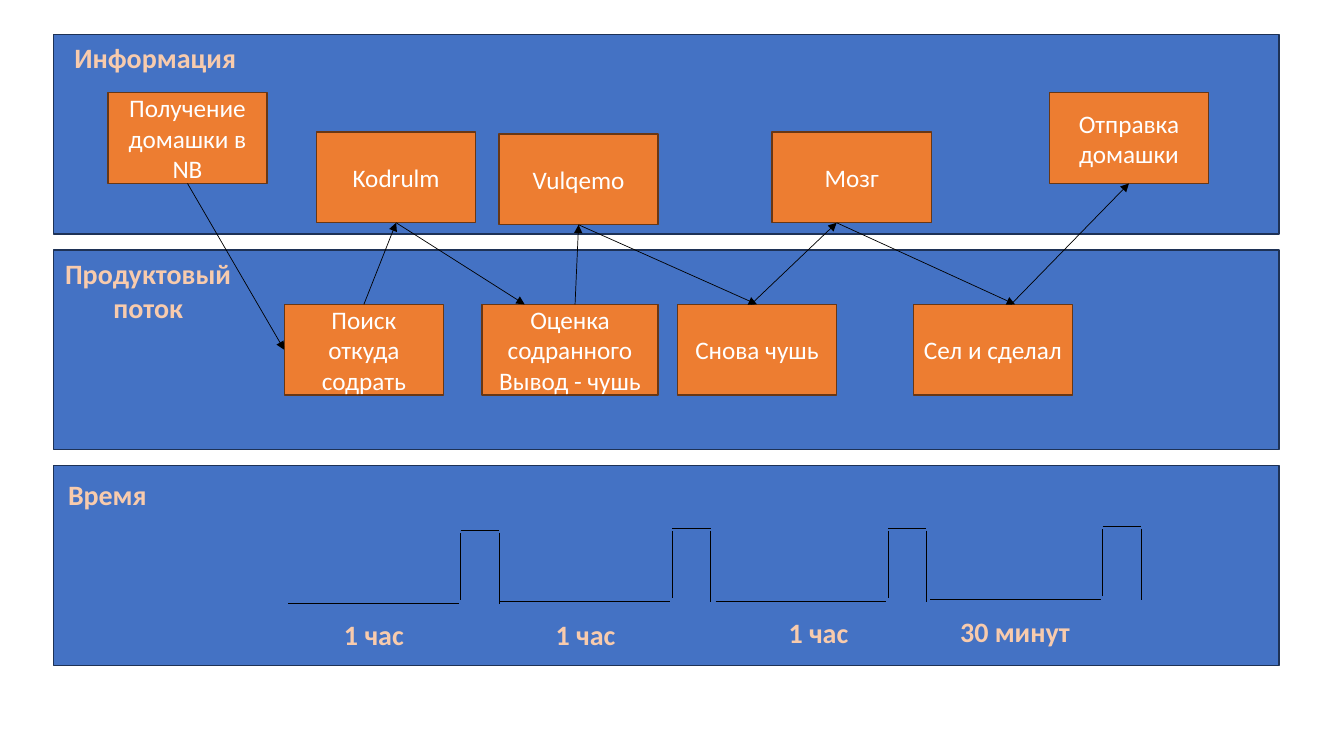
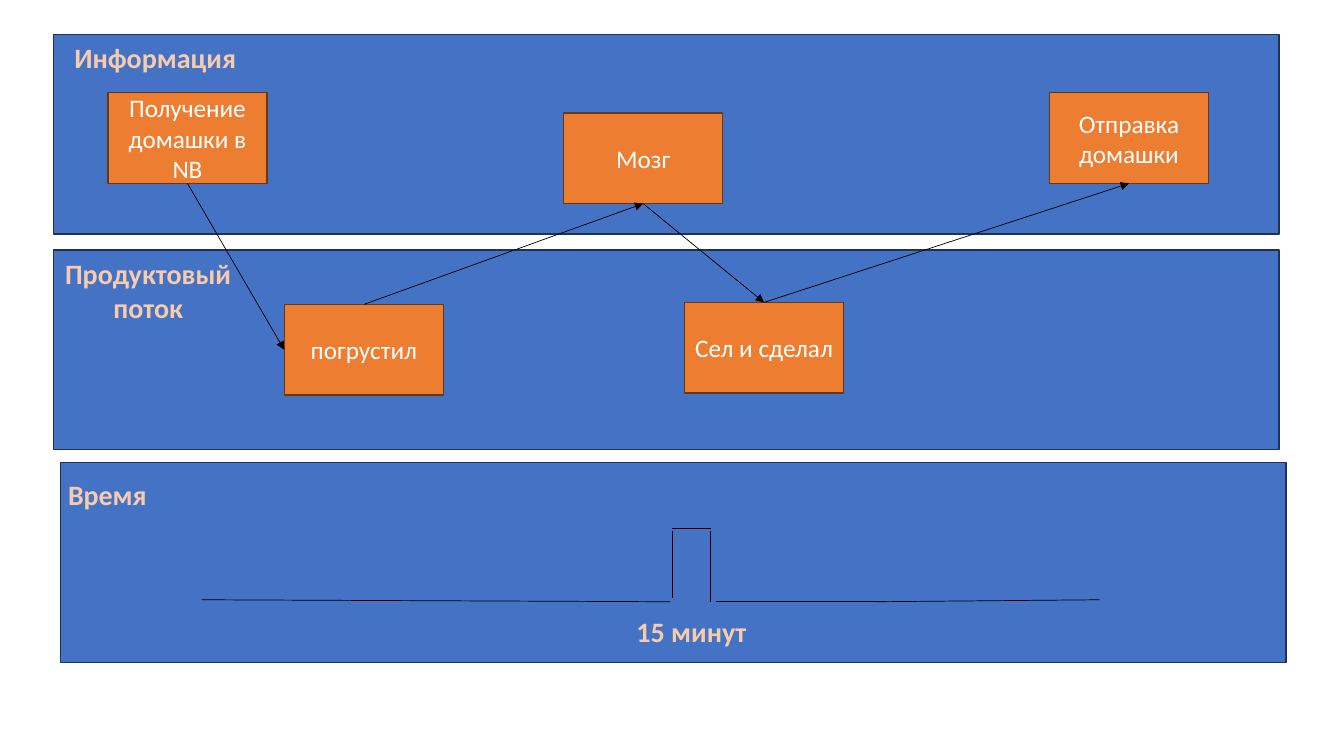
from dataclasses import dataclass
from lxml.etree import SubElement as Sub
from pptx import Presentation as Deck
from pptx.dml.color import RGBColor as Rgb
from pptx.enum.shapes import MSO_CONNECTOR as Link, MSO_SHAPE as Kind
from pptx.enum.text import MSO_ANCHOR as Anchor, MSO_AUTO_SIZE as Fit, PP_ALIGN as Align
from pptx.oxml.ns import qn
from pptx.util import Inches, Pt


@dataclass(frozen=True)
class Theme:
    font: str = "Calibri"
    band: str = "4472C4"
    rim: str = "1E3256"
    box: str = "ED7D31"
    edge: str = "683715"
    ink: str = "FFFFFF"
    tint: str = "F8CBAD"
    wire: str = "000000"
    text: int = 18
    head: int = 20
    thin: float = 0.5
    halo: float = 1.75


@dataclass(frozen=True)
class Node:
    col: float
    row: float
    wide: float
    tall: float

    def top(self, shift=0):
        return self.col + self.wide / 2 + shift, self.row

    def foot(self, shift=0):
        return self.col + self.wide / 2 + shift, self.row + self.tall

    def left(self):
        return self.col, self.row + self.tall / 2


LOOK = Theme()
CELL = 0.1
COLS, ROWS = 133.33, 75
BAND_W, BAND_H, BAND_X = 121.6, 19.8, 5.3
BOX_W, BOX_H = 15.8, 9
LINE_H, LEAD = 4.4, 3.3
FLAT, STEP, PEAK, GAP = 16.9, 3.8, 7.25, 0.2


def grid(*cells):
    return [Inches(cell * CELL) for cell in cells]


def write(frame, text, size, color, bold=False):
    frame.text = text
    for para in frame.paragraphs:
        para.alignment = Align.CENTER
        font = para.font
        font.name, font.size, font.bold = LOOK.font, Pt(size), bold
        font.color.rgb = Rgb.from_string(color)


def block(slide, place, fill, line):
    shape = slide.shapes.add_shape(Kind.RECTANGLE, *grid(*place))
    shape.shadow.inherit = False
    shape.fill.solid()
    shape.fill.fore_color.rgb = Rgb.from_string(fill)
    shape.line.color.rgb = Rgb.from_string(line)
    shape.line.width = Pt(1)
    return shape


def box(slide, text, col, row, wide=BOX_W):
    shape = block(slide, (col, row, wide, BOX_H), LOOK.box, LOOK.edge)
    frame = shape.text_frame
    frame.word_wrap = True
    frame.vertical_anchor = Anchor.MIDDLE
    write(frame, text, LOOK.text, LOOK.ink)
    return Node(col, row, wide, BOX_H)


def label(slide, text, col, row, wide):
    tall = LINE_H + LEAD * text.count("\n")
    frame = slide.shapes.add_textbox(*grid(col, row, wide, tall)).text_frame
    frame.word_wrap = False
    frame.auto_size = Fit.SHAPE_TO_FIT_TEXT
    write(frame, text, LOOK.head, LOOK.tint, True)
    for para in frame.paragraphs:
        props = para._p.pPr.find(qn("a:defRPr"))
        halo = props.makeelement(qn("a:ln"), {"w": str(Pt(LOOK.halo))})
        fill = Sub(halo, qn("a:solidFill"))
        Sub(fill, qn("a:srgbClr"), val=LOOK.box)
        props.insert(0, halo)


def wire(slide, start, end):
    line = slide.shapes.add_connector(Link.STRAIGHT, *grid(*start, *end))
    line.line.color.rgb = Rgb.from_string(LOOK.wire)
    line.line.width = Pt(LOOK.thin)
    Sub(line._element.spPr, qn("a:effectLst"))
    return line


def arrow(slide, start, end):
    line = wire(slide, start, end)
    Sub(line.line._get_or_add_ln(), qn("a:tailEnd"), type="triangle")


def pulse(slide, col, row):
    top, end = row - PEAK, col + STEP
    wire(slide, (col, row - 2 * GAP), (col, top + GAP))
    wire(slide, (col, top), (end, top))
    wire(slide, (end, top + GAP), (end, row))


def frame(deck, last):
    slide = deck.slides.add_slide(deck.slide_layouts[6])
    for col, row in ((BAND_X, 3.4), (BAND_X, 24.8), last):
        block(slide, (col, row, BAND_W, BAND_H), LOOK.band, LOOK.rim)
    first = box(slide, "Получение домашки в NB", 10.7, 9.2)
    final = box(slide, "Отправка домашки", 104.1, 9.2)
    return slide, first, final


def heads(slide):
    label(slide, "Информация", 6.3, 3.5, 18.2)
    label(slide, "Продуктовый\nпоток", 5.4, 25, 18.6)
    label(slide, "Время", 5.7, 46.9, 9.9)


def long(deck):
    slide, first, final = frame(deck, (BAND_X, 46.2))
    seek = box(slide, "Поиск откуда содрать", 28.2, 30.2)
    rate = box(slide, "Оценка содранного Вывод - чушь", 47.8, 30.2, 17.5)
    junk = box(slide, "Снова чушь", 67.2, 30.2)
    done = box(slide, "Сел и сделал", 90.6, 30.2)
    code = box(slide, "Kodrulm", 31.4, 13.1)
    chat = box(slide, "Vulqemo", 49.5, 13.3)
    mind = box(slide, "Мозг", 76.6, 13.1)
    for start, end in (
        (first.foot(), seek.left()),
        (seek.top(), code.foot()),
        (code.foot(), rate.top(-4.5)),
        (rate.top(0.5), chat.foot()),
        (chat.foot(), junk.top()),
        (junk.top(-0.6), mind.foot(-1.5)),
        (mind.foot(-1.5), done.top(2.2)),
        (done.top(1.8), final.foot()),
    ):
        arrow(slide, start, end)
    heads(slide)
    for col, row, text, left, top, wide in (
        (28.6, 59.9, "1 час", 33.1, 60.8, 8),
        (49.6, 59.7, "1 час", 54.1, 60.8, 8),
        (71, 59.7, "1 час", 77.2, 60.6, 8),
        (92.3, 59.5, "30 минут", 94.2, 60.5, 13),
    ):
        wire(slide, (col, row), (col + FLAT, row))
        pulse(slide, col + FLAT + GAP, row)
        label(slide, text, left, top, wide)


def short(deck):
    slide, first, final = frame(deck, (6, 45.9))
    mope = box(slide, "погрустил", 28.2, 30.2)
    mind = box(slide, "Мозг", 55.9, 11.2)
    done = box(slide, "Сел и сделал", 67.9, 30)
    for start, end in (
        (first.foot(), mope.left()),
        (mope.top(), mind.foot()),
        (mind.foot(), done.top()),
        (done.top(), final.foot()),
    ):
        arrow(slide, start, end)
    heads(slide)
    wire(slide, (20, 59.5), (66.5, 59.7))
    pulse(slide, 66.7, 59.7)
    wire(slide, (71, 59.7), (87.8, 59.7))
    wire(slide, (87, 59.7), (109.1, 59.5))
    label(slide, "15 минут", 62.1, 60.5, 13)


def main():
    deck = Deck()
    deck.slide_width, deck.slide_height = grid(COLS, ROWS)
    long(deck)
    short(deck)
    deck.save("out.pptx")


if __name__ == "__main__":
    main()
